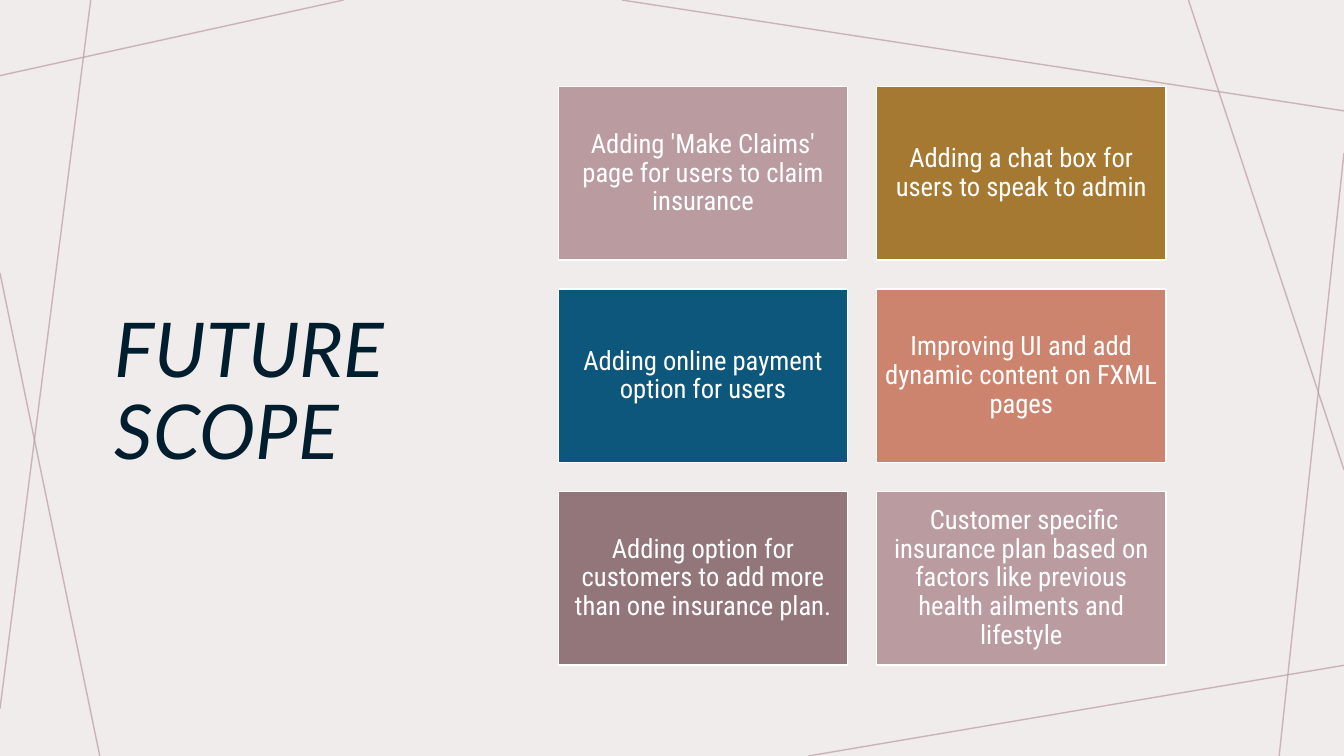
import dataclasses
import lxml.etree
import pptx
import pptx.dml.color
import pptx.enum.shapes
import pptx.enum.text
import pptx.oxml.ns
import pptx.util

Pt = pptx.util.Pt
RGB = pptx.dml.color.RGBColor.from_string
Align = pptx.enum.text.PP_ALIGN
Anchor = pptx.enum.text.MSO_ANCHOR
qn = pptx.oxml.ns.qn


@dataclasses.dataclass(frozen=True)
class Theme:
    paper: str = "F0ECEC"
    ink: str = "001E2E"
    white: str = "FFFFFF"
    rose: str = "BA9CA0"
    gold: str = "A57931"
    blue: str = "0E577C"
    coral: str = "CC846E"
    mauve: str = "93767A"
    head: str = "Lato"
    body: str = "Roboto Condensed"
    large: int = 54
    small: int = 19


THEME = Theme()

RAYS = [
    (245.5, 0, 0, 54),
    (64.8, 0, 0, 506.2),
    (71.3, 540, 0, 195.1),
    (960, 475.2, 577.4, 540),
    (960, 109.4, 913.7, 540),
    (960, 335.5, 848.9, 0),
    (960, 79.2, 444.2, 0),
]

CARDS = [
    ("Adding 'Make Claims' page for users to claim insurance", THEME.rose),
    ("Adding a chat box for users to speak to admin", THEME.gold),
    ("Adding online payment option for users", THEME.blue),
    ("Improving UI and add dynamic content on FXML pages", THEME.coral),
    ("Adding option for customers to add more than one insurance plan.", THEME.mauve),
    (" Customer specific insurance plan based on factors like previous "
     "health ailments and lifestyle", THEME.rose),
]

LEFT, TOP = 398.9, 61.9
WIDE, HIGH = 206.6, 123.9
GAP = 20.7
COLS = 2


def write(shape, text, *, font, size, color, align, anchor, slant=False, inset=None):
    frame = shape.text_frame
    frame.word_wrap = True
    frame.auto_size = pptx.enum.text.MSO_AUTO_SIZE.NONE
    frame.vertical_anchor = anchor
    if inset is not None:
        frame.margin_left = frame.margin_right = Pt(inset)
        frame.margin_top = frame.margin_bottom = Pt(inset)
    para = frame.paragraphs[0]
    para.alignment = align
    para.line_spacing = 0.9
    run = para.add_run()
    run.text = text
    run.font.name = font
    run.font.size = Pt(size)
    run.font.italic = slant
    run.font.color.rgb = RGB(color)


def add_ray(slide, ends):
    ray = slide.shapes.add_connector(
        pptx.enum.shapes.MSO_CONNECTOR.STRAIGHT, *map(Pt, ends))
    ray.line.width = Pt(1)
    ray.line.color.rgb = RGB(THEME.rose)
    props = ray.element.spPr
    tint = props.find(".//" + qn("a:srgbClr"))
    lxml.etree.SubElement(tint, qn("a:alpha"), val="70000")
    lxml.etree.SubElement(props, qn("a:effectLst"))


def add_title(slide, text):
    title = slide.shapes.title
    title.left, title.top = Pt(74.9), Pt(208.1)
    title.width, title.height = Pt(254.9), Pt(135.4)
    write(title, text, font=THEME.head, size=THEME.large, color=THEME.ink,
          align=Align.LEFT, anchor=Anchor.BOTTOM, slant=True)


def add_card(slide, index, text, fill):
    row, col = divmod(index, COLS)
    card = slide.shapes.add_shape(
        pptx.enum.shapes.MSO_SHAPE.RECTANGLE,
        Pt(LEFT + col * (WIDE + GAP)), Pt(TOP + row * (HIGH + GAP)),
        Pt(WIDE), Pt(HIGH))
    card.shadow.inherit = False
    card.fill.solid()
    card.fill.fore_color.rgb = RGB(fill)
    card.line.color.rgb = RGB(THEME.white)
    card.line.width = Pt(1)
    write(card, text, font=THEME.body, size=THEME.small, color=THEME.white,
          align=Align.CENTER, anchor=Anchor.MIDDLE, inset=5.7)


def main():
    deck = pptx.Presentation()
    deck.slide_width, deck.slide_height = Pt(960), Pt(540)
    slide = deck.slides.add_slide(deck.slide_layouts[5])
    slide.background.fill.solid()
    slide.background.fill.fore_color.rgb = RGB(THEME.paper)
    for ends in RAYS:
        add_ray(slide, ends)
    add_title(slide, "FUTURE SCOPE")
    for index, (text, fill) in enumerate(CARDS):
        add_card(slide, index, text, fill)
    deck.save("out.pptx")


if __name__ == "__main__":
    main()
